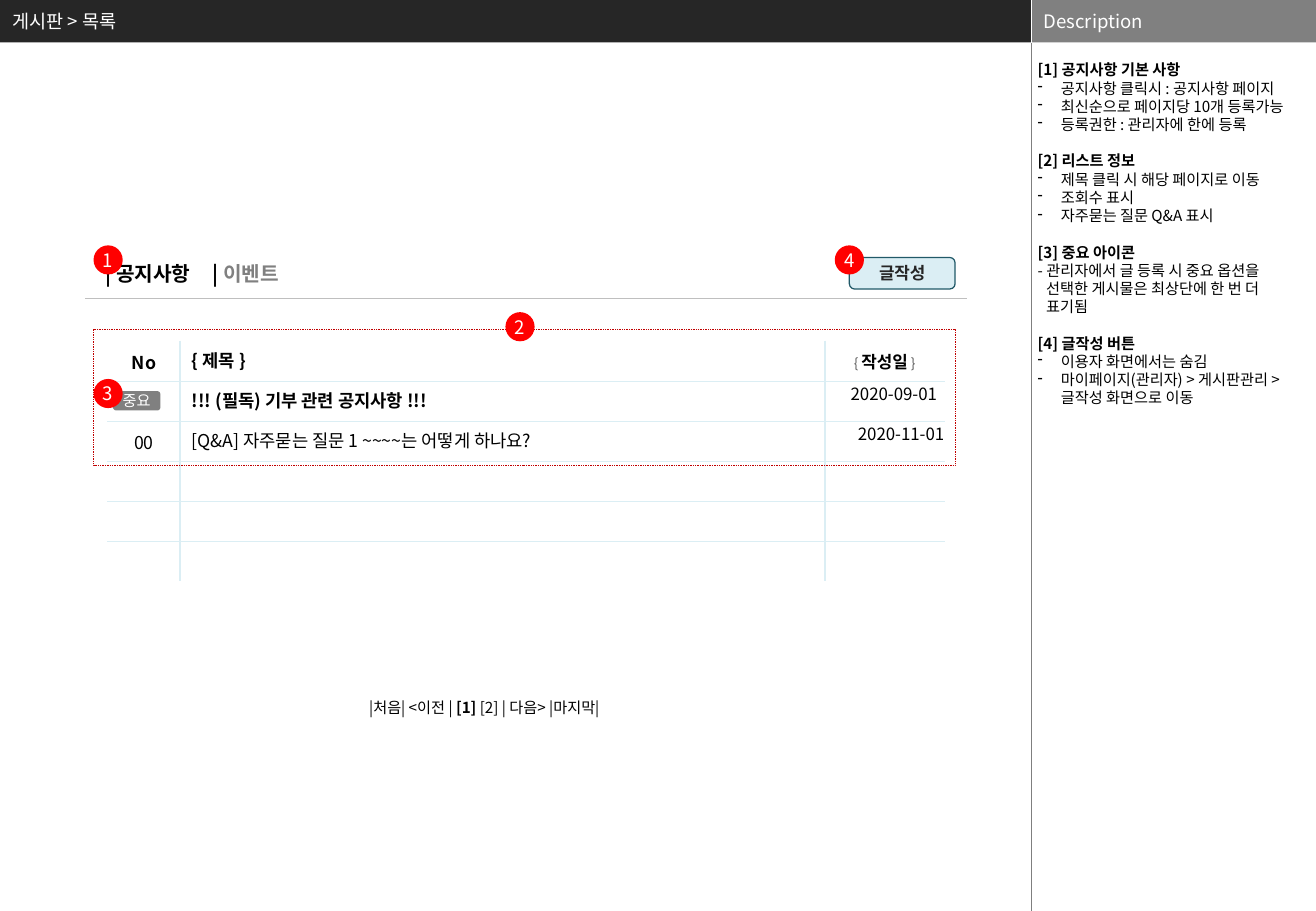
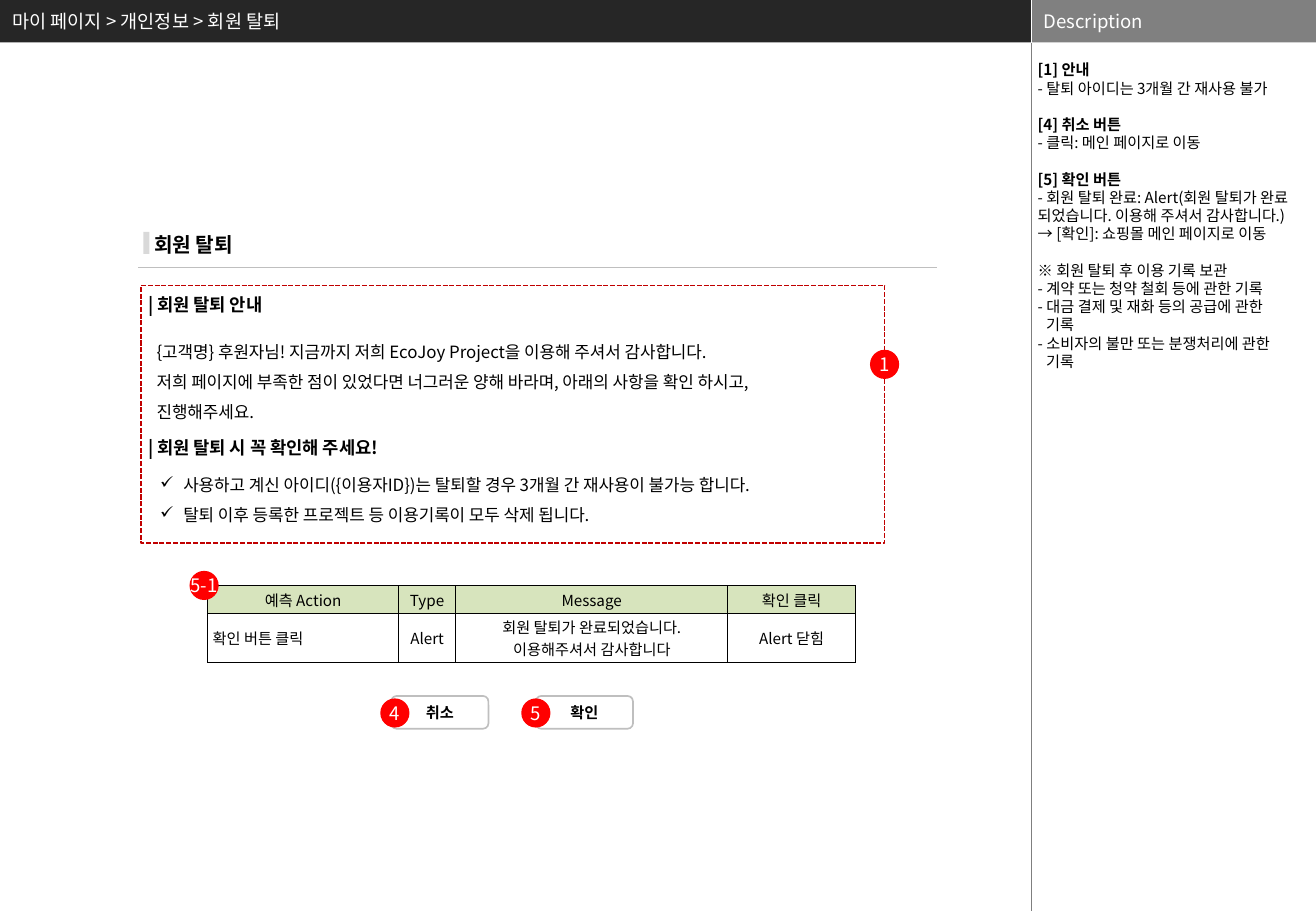
"""Build two annotated wireframe slides: a notice board and a membership withdrawal page."""
from pptx import Presentation
from pptx import util as u
from pptx.dml.color import RGBColor
from pptx.enum import dml, shapes, text
from pptx.oxml import parse_xml
from pptx.oxml.ns import nsdecls

FONT = "Noto Sans CJK KR"
BLACK, WHITE, DARK, GRAY, SILVER = "000000", "FFFFFF", "262626", "808080", "BFBFBF"
RED, CRIMSON, ICE, TEAL, GREEN = "FF0000", "C00000", "DBEEF4", "215968", "D7E4BD"
LEFT, CENTER, RIGHT = text.PP_ALIGN.LEFT, text.PP_ALIGN.CENTER, text.PP_ALIGN.RIGHT
MIDDLE, TOP = text.MSO_ANCHOR.MIDDLE, text.MSO_ANCHOR.TOP
PRESET = shapes.MSO_SHAPE
rgb = RGBColor.from_string


def write(frame, lines, size, color=BLACK, bold=False, align=LEFT, pitch=1.2):
    """Fill a frame with lines, each a string or a list of run strings."""
    for number, line in enumerate(lines):
        para = frame.add_paragraph() if number else frame.paragraphs[0]
        if isinstance(line, str):
            para.text = line
        else:
            for piece in line:
                para.add_run().text = piece
        para.alignment = align
        if pitch:
            para.line_spacing = u.Pt(round(size * pitch, 1))
        para._p.get_or_add_endParaRPr().set("sz", str(int(size * 100)))
        for span in para.runs:
            span.font.name, span.font.size, span.font.bold = FONT, u.Pt(size), bold
            span.font.color.rgb = rgb(color)
            span.font._element.append(parse_xml(f'<a:ea {nsdecls("a")} typeface="{FONT}"/>'))


def add_shape(page, preset, at, fill=None, line=None, weight=1):
    """Add a flat preset shape with no insets."""
    shape = page.shapes.add_shape(preset, *map(u.Inches, at))
    shape.shadow.inherit = False
    if fill:
        shape.fill.solid()
        shape.fill.fore_color.rgb = rgb(fill)
    else:
        shape.fill.background()
    if line:
        shape.line.color.rgb = rgb(line)
        shape.line.width = u.Pt(weight)
    else:
        shape.line.fill.background()
    frame = shape.text_frame
    frame.margin_left = frame.margin_right = frame.margin_top = frame.margin_bottom = 0
    frame.vertical_anchor, frame.word_wrap = MIDDLE, False
    return shape


deck = Presentation()
deck.slide_width, deck.slide_height = u.Inches(10.83), u.Inches(7.5)

BULLET_HANG, DASH_HANG = 0.19, 0.07
board_notes = [
    ("[1] 공지사항 기본 사항", BULLET_HANG, [
        "공지사항 클릭시 : 공지사항 페이지",
        "최신순으로 페이지당 10개 등록가능",
        "등록권한 : 관리자에 한에 등록"]),
    ("[2] 리스트 정보", BULLET_HANG, [
        "제목 클릭 시 해당 페이지로 이동",
        "조회수 표시",
        "자주묻는 질문 Q&A 표시"]),
    ("[3] 중요 아이콘", DASH_HANG, [
        "- 관리자에서 글 등록 시 중요 옵션을\v선택한 게시물은 최상단에 한 번 더\v표기됨"]),
    ("[4] 글작성 버튼", BULLET_HANG, [
        "이용자 화면에서는 숨김",
        "마이페이지(관리자) > 게시판관리 > 글작성 화면으로 이동"]),
]
withdrawal_notes = [
    ("[1] 안내", 0, ["- 탈퇴 아이디는 3개월 간 재사용 불가"]),
    ("[4] 취소 버튼", 0, ["- 클릭: 메인 페이지로 이동"]),
    ("[5] 확인 버튼", 0, [
        "- 회원 탈퇴 완료: Alert(회원 탈퇴가 완료 되었습니다. 이용해 주셔서 감사합니다.)"
        "\v→ [확인]: 쇼핑몰 메인 페이지로 이동"]),
    ("※ 회원 탈퇴 후 이용 기록 보관", DASH_HANG, [
        "- 계약 또는 청약 철회 등에 관한 기록",
        "- 대금 결제 및 재화 등의 공급에 관한\v기록",
        "- 소비자의 불만 또는 분쟁처리에 관한\v기록"]),
]

pages = []
for trail, notes in [("게시판 > 목록", board_notes),
                     ("마이 페이지 > 개인정보 > 회원 탈퇴", withdrawal_notes)]:
    page = deck.slides.add_slide(deck.slide_layouts[5])
    pages.append(page)

    title = page.shapes.title
    title.left, title.top, title.width, title.height = map(u.Inches, (0, 0, 8.49, 0.35))
    title.fill.solid()
    title.fill.fore_color.rgb = rgb(DARK)
    title.text_frame.auto_size = text.MSO_AUTO_SIZE.NONE
    title.text_frame.vertical_anchor = MIDDLE
    write(title.text_frame, [trail], 11, WHITE)

    band = add_shape(page, PRESET.RECTANGLE, (8.49, 0, 2.34, 0.35), GRAY)
    band.text_frame.margin_left = u.Inches(0.1)
    write(band.text_frame, ["Description"], 11, WHITE)

    box = page.shapes.add_textbox(*map(u.Inches, (8.5, 0.5, 2.34, 7)))
    frame = box.text_frame
    frame.word_wrap = True
    frame.margin_left = frame.margin_right = u.Inches(0.04)
    frame.margin_top = frame.margin_bottom = 0
    plan = []
    for heading, hang, items in notes:
        plan += [(heading, None)] + [(item, hang) for item in items]
    write(frame, [line for line, hang in plan], 9)
    for number, (para, (line, hang)) in enumerate(zip(frame.paragraphs, plan)):
        if hang is None:
            para.space_before = u.Pt(10.8 if number else 0)
            para.runs[0].font.bold = line.startswith("[")
        elif hang:
            props = para._p.get_or_add_pPr()
            props.set("marL", str(u.Inches(hang)))
            props.set("indent", str(-u.Inches(hang)))
            if hang == BULLET_HANG:
                props.append(parse_xml(f'<a:buChar {nsdecls("a")} char="-"/>'))

board, withdrawal = pages

rules = [(page, 8.49, top, 8.49, bottom, color, 0.25) for page in pages
         for top, bottom, color in [(0, 0.35, WHITE), (0.35, 7.5, "7F7F7F")]]
rules += [(board, 0.7, 2.46, 7.96, 2.46, SILVER, 0.75),
          (withdrawal, 1.14, 2.2, 7.71, 2.2, SILVER, 0.75)]
for page, x1, y1, x2, y2, color, weight in rules:
    rule = page.shapes.add_connector(shapes.MSO_CONNECTOR.STRAIGHT, *map(u.Inches, (x1, y1, x2, y2)))
    rule.line.color.rgb = rgb(color)
    rule.line.width = u.Pt(weight)
    rule._element.spPr.append(parse_xml(f'<a:effectLst {nsdecls("a")}/>'))

post_rows = [
    ["No", "{ 제목 }", ["{ ", "작성일", " }"]],
    ["", "!!! (필독) 기부 관련 공지사항 !!!", "2020-09-01"],
    ["00", "[Q&A] 자주묻는 질문 1 ~~~~는 어떻게 하나요?", "2020-11-01"],
] + [["", "", ""]] * 3
alert_rows = [
    ["예측 Action", "Type", "Message", "확인 클릭"],
    ["확인 버튼 클릭", "Alert", "회원 탈퇴가 완료되었습니다.\n이용해주셔서 감사합니다", "Alert 닫힘"],
]
tables = []
for page, left, top, widths, heights, rows, color, weight, framed in [
        (board, 0.89, 2.81, [0.59, 5.31, 0.98], [0.33] * 6, post_rows, ICE, 1, False),
        (withdrawal, 1.71, 4.82, [1.57, 0.47, 2.24, 1.05], [0.23, 0.4], alert_rows, BLACK, 0.5, True)]:
    table = page.shapes.add_table(len(rows), len(widths), *map(
        u.Inches, (left, top, sum(widths), sum(heights)))).table
    tables.append(table)
    table.first_row = table.horz_banding = False
    for column, width in zip(table.columns, widths):
        column.width = u.Inches(width)
    for row, height in zip(table.rows, heights):
        row.height = u.Inches(height)
    for r, row in enumerate(rows):
        for c, content in enumerate(row):
            cell = table.cell(r, c)
            cell.fill.solid()
            cell.fill.fore_color.rgb = rgb(GREEN if framed and r == 0 else WHITE)
            edges = {"L": c > 0, "R": c < len(widths) - 1, "T": r > 0, "B": r < len(rows) - 1}
            props = cell._tc.get_or_add_tcPr()
            names = [name for name, inner in edges.items() if inner or framed]
            for place, name in enumerate(names):
                props.insert(place, parse_xml(
                    f'<a:ln{name} {nsdecls("a")} w="{u.Pt(weight)}"><a:solidFill>'
                    f'<a:srgbClr val="{color}"/></a:solidFill></a:ln{name}>'))
            if framed:
                cell.margin_left = cell.margin_right = u.Inches(0.04)
                cell.margin_top = cell.margin_bottom = 0
                align = LEFT if (r, c) == (1, 0) else CENTER
                size, bold, anchor = 9, False, MIDDLE
            else:
                align = [CENTER, LEFT, CENTER if r == 0 else RIGHT][c]
                size, bold = [10.5, 10.5, 10][c], r == 0 or (r, c) == (1, 1)
                anchor = MIDDLE if c == 0 or (r, c) == (0, 2) else TOP
                if c == 2:
                    cell.margin_left = cell.margin_right = cell.margin_top = cell.margin_bottom = 0
            cell.vertical_anchor = anchor
            lines = content.split("\n") if isinstance(content, str) else [content]
            write(cell.text_frame, lines, size, bold=bold, align=align, pitch=None)

post_table = tables[0]
post_table.cell(1, 2).margin_right = u.Inches(0.06)
for brace in post_table.cell(0, 2).text_frame.paragraphs[0].runs[::2]:
    brace.font.size, brace.font.bold = u.Pt(8), False
    brace.font.color.rgb = rgb("595959")

boxes = {}
for name, page, at, lines, size, bold, pitch in [
        ("notice tab", board, (0.77, 2.1, 1.32, 0.3), ["| 공지사항"], 12, True, 1.2),
        ("event tab", board, (1.65, 2.1, 1.32, 0.3), [["| ", "이벤트"]], 12, True, 1.2),
        ("pager", board, (2.94, 5.7, 2.6, 0.25),
         [["|처음| <이전 | ", "[1]", " [2] | 다음> |마지막|"]], 9, False, 1.2),
        ("heading", withdrawal, (1.17, 1.86, 2.72, 0.3), ["회원 탈퇴"], 12, True, 1.2),
        ("guide", withdrawal, (1.12, 2.37, 1.6, 0.29), ["| 회원 탈퇴 안내"], 10.5, True, 1.2),
        ("check", withdrawal, (1.12, 3.55, 2.6, 0.29), ["| 회원 탈퇴 시 꼭 확인해 주세요!"], 10.5, True, 1.2),
        ("message", withdrawal, (1.19, 2.68, 6.5, 0.86), [
            "{고객명} 후원자님! 지금까지 저희 EcoJoy Project을 이용해 주셔서 감사합니다.",
            "저희 페이지에 부족한 점이 있었다면 너그러운 양해 바라며, 아래의 사항을 확인 하시고,",
            "진행해주세요."], 10, False, 1.78),
        ("warnings", withdrawal, (1.22, 3.78, 5.6, 0.61), [
            "사용하고 계신 아이디({이용자ID})는 탈퇴할 경우 3개월 간 재사용이 불가능 합니다.",
            "탈퇴 이후 등록한 프로젝트 등 이용기록이 모두 삭제 됩니다."], 10, False, 1.78)]:
    box = page.shapes.add_textbox(*map(u.Inches, at))
    box.text_frame.word_wrap = True
    write(box.text_frame, lines, size, bold=bold, pitch=pitch)
    boxes[name] = box.text_frame

boxes["event tab"].paragraphs[0].runs[1].font.color.rgb = rgb(GRAY)
boxes["pager"].paragraphs[0].runs[1].font.bold = True
for para in boxes["warnings"].paragraphs:
    props = para._p.get_or_add_pPr()
    props.set("marL", str(u.Inches(BULLET_HANG)))
    props.set("indent", str(-u.Inches(BULLET_HANG)))
    props.append(parse_xml(f'<a:buChar {nsdecls("a")} char="✓"/>'))

add_shape(withdrawal, PRESET.RECTANGLE, (1.18, 1.91, 0.05, 0.18), "D9D9D9")
for page, at, weight, dash in [
        (board, (0.77, 2.71, 7.09, 1.12), 0.5, dml.MSO_LINE.ROUND_DOT),
        (withdrawal, (1.16, 2.35, 6.12, 2.12), 1, dml.MSO_LINE.SQUARE_DOT)]:
    add_shape(page, PRESET.RECTANGLE, at, None, CRIMSON, weight).line.dash_style = dash

for page, label, at, fill, line, weight, size, color, bold in [
        (board, "글작성", (6.99, 2.12, 0.87, 0.26), ICE, TEAL, 0.75, 10, DARK, True),
        (board, "중요", (0.93, 3.22, 0.39, 0.16), GRAY, None, 0, 9, WHITE, False),
        (withdrawal, "취소", (3.22, 5.73, 0.8, 0.27), WHITE, SILVER, 1, 9, BLACK, True),
        (withdrawal, "확인", (4.41, 5.73, 0.8, 0.27), WHITE, SILVER, 1, 9, BLACK, True)]:
    button = add_shape(page, PRESET.ROUNDED_RECTANGLE, at, fill, line, weight)
    write(button.text_frame, [label], size, color, bold, CENTER)

for page, label, left, top in [
        (board, "1", 0.77, 2.02), (board, "2", 4.16, 2.57),
        (board, "3", 0.77, 3.12), (board, "4", 6.87, 2.02),
        (withdrawal, "1", 7.16, 2.88), (withdrawal, "4", 3.13, 5.75),
        (withdrawal, "5", 4.29, 5.75), (withdrawal, "5-1", 1.56, 4.7)]:
    badge = add_shape(page, PRESET.OVAL, (left, top, 0.24, 0.24), RED)
    write(badge.text_frame, [list(label)], 11, WHITE, align=CENTER)
    for span in badge.text_frame.paragraphs[0].runs:
        if span.text == "-":
            span.font._element.set("spc", "-150")

deck.save("out.pptx")
